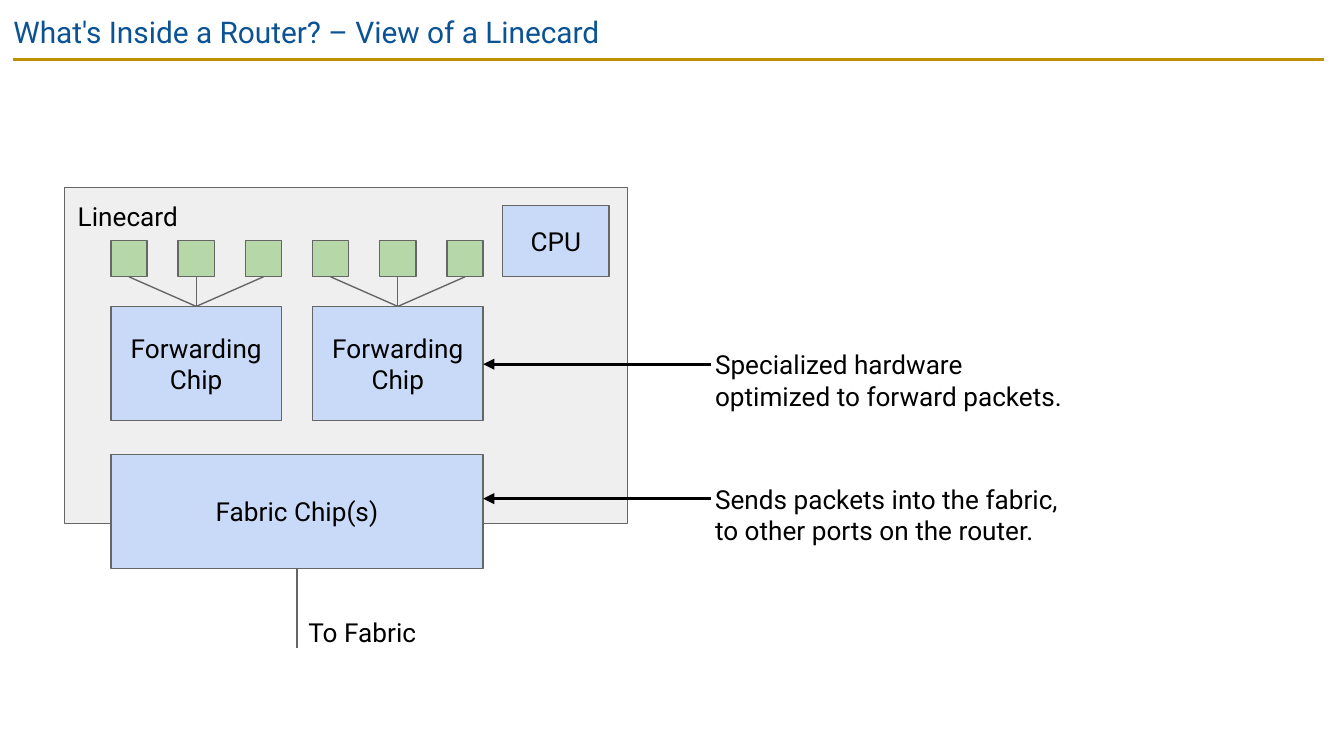
from lxml import etree
from pptx import Presentation
from pptx import util as u
from pptx.dml.color import RGBColor
from pptx.enum import shapes, text
from pptx.oxml import ns

PX = 4572
FONT = "Roboto"
COLORS = {
    "title": "0B5394", "rule": "BF9000", "card": "EFEFEF", "outline": "666666",
    "port": "B6D7A8", "chip": "C9DAF8", "ink": "000000",
}
TITLE = "What's Inside a Router? – View of a Linecard"
LINECARD = ("Linecard", (96, 279, 838, 500))
CPU = ("CPU", (748, 306, 158, 106))
FORWARDING_CHIPS = ["Forwarding Chip", "Forwarding Chip"]
FABRIC_CHIP = "Fabric Chip(s)"
FABRIC_LINK = ("To Fabric", (459, 918, 168, 48))
NOTES = [
    ("Specialized hardware optimized to forward packets.", 542),
    ("Sends packets into the fabric, to other ports on the router.", 742),
]

LEFT = 165
PORT_TOP, PORT_SIZE, PORT_PITCH, PORTS_PER_CHIP = 358, 54, 100, 3
CHIP_TOP, CHIP_WIDTH, CHIP_HEIGHT = 456, 254, 170
CHIP_PITCH = PORT_PITCH * PORTS_PER_CHIP
FABRIC_TOP, LINK_BOTTOM = 676, 965
FABRIC_WIDTH = CHIP_PITCH + CHIP_WIDTH
NOTE_LEFT, NOTE_WIDTH, NOTE_HEIGHT, NOTE_RISE = 1058, 538, 106, 29

presentation = Presentation()
presentation.slide_width = 2000 * PX
presentation.slide_height = 1125 * PX
slide = presentation.slides.add_slide(presentation.slide_layouts[5])


def color(name):
    return RGBColor.from_string(COLORS[name])


def place(shape, box):
    shape.left, shape.top, shape.width, shape.height = [value * PX for value in box]


def write(shape, words, size=14, ink="ink", inset=20,
          align=text.PP_ALIGN.LEFT, anchor=text.MSO_ANCHOR.TOP):
    frame = shape.text_frame
    frame.word_wrap = True
    frame.auto_size = text.MSO_AUTO_SIZE.NONE
    frame.vertical_anchor = anchor
    frame.margin_left = frame.margin_right = inset * PX
    frame.margin_top = frame.margin_bottom = inset * PX
    paragraph = frame.paragraphs[0]
    paragraph.alignment = align
    run = paragraph.add_run()
    run.text = words
    run.font.size = u.Pt(size)
    run.font.name = FONT
    run.font.color.rgb = color(ink)


def add_box(box, fill):
    left, top, width, height = [value * PX for value in box]
    shape = slide.shapes.add_shape(shapes.MSO_SHAPE.RECTANGLE, left, top, width, height)
    shape.shadow.inherit = False
    shape.fill.solid()
    shape.fill.fore_color.rgb = color(fill)
    shape.line.color.rgb = color("outline")
    shape.line.width = u.Pt(0.75)
    return shape


def add_chip(words, box, inset=20):
    write(add_box(box, "chip"), words, inset=inset,
          align=text.PP_ALIGN.CENTER, anchor=text.MSO_ANCHOR.MIDDLE)


def add_label(words, box, inset):
    label = slide.shapes.add_textbox(0, 0, 0, 0)
    place(label, box)
    write(label, words, inset=inset)


def add_line(start, end, ink="outline", width=0.75, arrow=False):
    points = [round(value * PX) for value in (*start, *end)]
    line = slide.shapes.add_connector(shapes.MSO_CONNECTOR.STRAIGHT, *points)
    line.line.color.rgb = color(ink)
    line.line.width = u.Pt(width)
    if arrow:
        etree.SubElement(line.line._get_or_add_ln(), ns.qn("a:tailEnd"), type="triangle")
    etree.SubElement(line._element.spPr, ns.qn("a:effectLst"))


add_line((20, 88), (1970, 88), ink="rule", width=1.5)
title = slide.shapes.title
place(title, (0, 0, 2000, 86))
write(title, TITLE, size=16, ink="title")

write(add_box(LINECARD[1], "card"), LINECARD[0])
add_chip(*CPU, inset=0)

for chip_index, name in enumerate(FORWARDING_CHIPS):
    chip_left = LEFT + chip_index * CHIP_PITCH
    chip_center = chip_left + CHIP_WIDTH / 2
    for port_index in range(PORTS_PER_CHIP):
        port_left = chip_left + port_index * PORT_PITCH
        add_box((port_left, PORT_TOP, PORT_SIZE, PORT_SIZE), "port")
        add_line((port_left + PORT_SIZE / 2, PORT_TOP + PORT_SIZE), (chip_center, CHIP_TOP))
    add_chip(name, (chip_left, CHIP_TOP, CHIP_WIDTH, CHIP_HEIGHT))

add_chip(FABRIC_CHIP, (LEFT, FABRIC_TOP, FABRIC_WIDTH, CHIP_HEIGHT))
fabric_center = LEFT + FABRIC_WIDTH / 2
add_line((fabric_center, FABRIC_TOP + CHIP_HEIGHT), (fabric_center, LINK_BOTTOM))
add_label(*FABRIC_LINK, inset=0)

for words, arrow_y in NOTES:
    add_line((NOTE_LEFT, arrow_y), (LEFT + FABRIC_WIDTH, arrow_y),
             ink="ink", width=1.5, arrow=True)
    add_label(words, (NOTE_LEFT, arrow_y - NOTE_RISE, NOTE_WIDTH, NOTE_HEIGHT), inset=6)

presentation.save("out.pptx")
